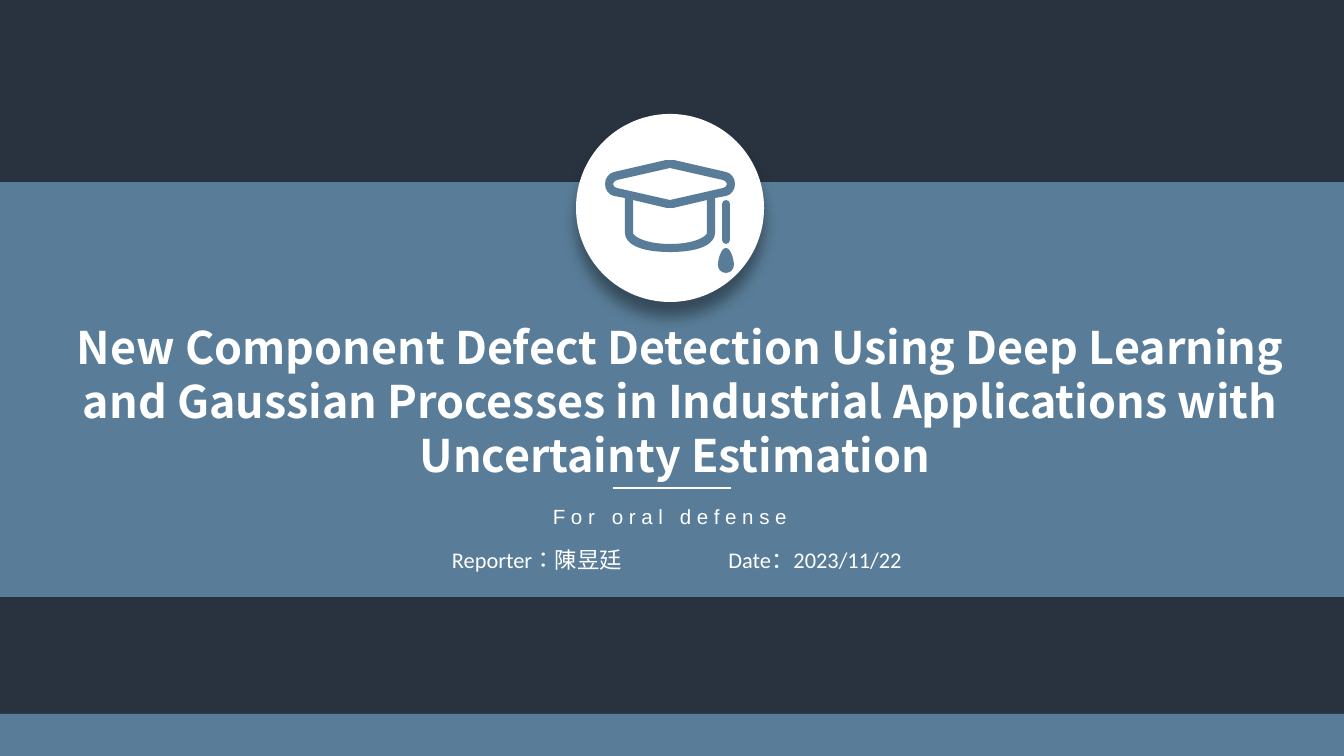
from lxml import etree
from pptx import Presentation
from pptx.dml.color import RGBColor
from pptx.enum.shapes import MSO_CONNECTOR, MSO_SHAPE
from pptx.enum.text import MSO_ANCHOR, MSO_AUTO_SIZE, PP_ALIGN
from pptx.oxml.ns import qn
from pptx.util import Pt

PX = 914400 / 134.4
RECT, OVAL = MSO_SHAPE.RECTANGLE, MSO_SHAPE.OVAL
STRAIGHT = MSO_CONNECTOR.STRAIGHT
TOP, CENTER = MSO_ANCHOR.TOP, PP_ALIGN.CENTER
NO_FIT = MSO_AUTO_SIZE.NONE
COLORS = {"navy": "29323F", "blue": "597D98", "white": "FFFFFF", "black": "000000"}

TITLE = ("New Component Defect Detection Using Deep Learning and Gaussian Processes "
         "in Industrial Applications with Uncertainty Estimation ")
TITLE_FONT = {"name": "Noto Sans CJK SC", "size": Pt(24), "bold": True}
SUBTITLE_FONT = {"name": "Arial", "size": Pt(11)}
DETAIL_FONT = {"name": "Calibri", "size": Pt(12)}

CAP = [
    [(0, 160), (4, 160), (56, 172), (61, 173, 65, 178, 65, 184),
     (65, 190, 61, 195, 56, 196), (45, 198), (45, 233), (45, 243, 32, 252, 0, 252)],
    [(0, 168), (53, 180), (55, 181, 57, 182, 57, 184),
     (57, 186, 55, 188, 53, 188), (0, 200)],
    [(0, 208), (3, 208), (37, 200), (37, 233), (37, 236, 25, 244, 0, 244)],
]
CORD = [[(0, 200), (2, 200, 4, 202, 4, 204), (4, 240), (4, 242, 2, 244, 0, 244)]]
TASSEL = [[(0, 248), (5, 248, 8, 260, 8, 265), (8, 269, 5, 273, 0, 273)]]


def px(value):
    return round(value * PX)


def rgb(name):
    return RGBColor.from_string(COLORS[name])


def paint(sp, color):
    sp.shadow.inherit = False
    sp.fill.solid()
    sp.fill.fore_color.rgb = rgb(color)
    sp.line.fill.background()


def add_block(s, kind, box, color):
    sp = s.shapes.add_shape(kind, *map(px, box))
    paint(sp, color)
    return sp


def add_shadow(sp):
    effects = sp._element.spPr.find(qn("a:effectLst"))
    shadow = etree.SubElement(effects, qn("a:outerShdw"), blurRad=str(Pt(8)),
                              dist=str(Pt(8)), dir="5400000", rotWithShape="0")
    color = etree.SubElement(shadow, qn("a:srgbClr"), val=COLORS["black"])
    etree.SubElement(color, qn("a:alpha"), val="40000")


def mirror(half, axis):
    pairs = [list(zip(seg[::2], seg[1::2])) for seg in half]
    left = []
    for start, seg in reversed(list(zip(pairs, pairs[1:]))):
        back = seg[-2::-1] + [start[-1]]
        left.append([(-x, y) for x, y in back])
    return [[(px(axis + x), px(y)) for x, y in seg] for seg in pairs + left]


def bend(sp, segments):
    lines = list(sp._element.iter(qn("a:lnTo")))
    for line, seg in zip(lines, segments):
        if len(seg) == 1:
            continue
        line.tag = qn("a:cubicBezTo")
        for i, (x, y) in enumerate(seg[:-1]):
            pt = etree.Element(qn("a:pt"), x=str(x - sp.left), y=str(y - sp.top))
            line.insert(i, pt)


def add_mirrored(shapes, axis, halves, color):
    outlines = [mirror(half, axis) for half in halves]
    builder = shapes.build_freeform(*outlines[0][0][0])
    for i, outline in enumerate(outlines):
        ends = [seg[-1] for seg in outline]
        if i:
            builder.move_to(*ends[0])
        builder.add_line_segments(ends[1:], close=True)
    sp = builder.convert_to_shape()
    paint(sp, color)
    bend(sp, [seg for outline in outlines for seg in outline[1:]])


def write(sp, text, font, leading=None, tracking=None, lang=None):
    tf = sp.text_frame
    tf.word_wrap = True
    tf.auto_size = NO_FIT
    tf.vertical_anchor = TOP
    p = tf.paragraphs[0]
    p.alignment = CENTER
    if leading:
        p.line_spacing = Pt(leading)
    r = p.add_run()
    r.text = text
    for name, value in font.items():
        setattr(r.font, name, value)
    r.font.color.rgb = rgb("white")
    if tracking:
        r._r.get_or_add_rPr().set("spc", str(tracking * 100))
    if lang:
        r._r.get_or_add_rPr().set("lang", lang)


def add_title(s, box, text):
    sp = s.shapes.title
    sp.left, sp.top, sp.width, sp.height = map(px, box)
    sp._element.getparent().append(sp._element)
    write(sp, text, TITLE_FONT, leading=28.8)


def add_text(s, box, text, font, **options):
    write(s.shapes.add_textbox(*map(px, box)), text, font, **options)


def add_rule(s, x1, x2, y):
    line = s.shapes.add_connector(STRAIGHT, px(x1), px(y), px(x2), px(y))
    line.line.color.rgb = rgb("white")
    line.line.width = Pt(1.5)
    etree.SubElement(line._element.spPr, qn("a:effectLst"))


def main():
    prs = Presentation()
    prs.slide_width, prs.slide_height = px(1344), px(756)
    s = prs.slides.add_slide(prs.slide_layouts[5])
    s.background.fill.solid()
    s.background.fill.fore_color.rgb = rgb("navy")

    add_block(s, RECT, (0, 714, 1344, 42), "blue")
    add_block(s, RECT, (0, 182, 1344, 415), "blue")
    add_title(s, (22, 313, 1316, 176), TITLE)
    add_text(s, (157, 497, 1026, 39), "For oral defense", SUBTITLE_FONT, tracking=3)
    add_text(s, (416, 540, 242, 40), "Reporter：陳昱廷", DETAIL_FONT, lang="zh-TW")

    add_shadow(add_block(s, OVAL, (576, 114, 188, 188), "white"))
    icon = s.shapes.add_group_shape()
    for axis, halves in ((670, CAP), (726, CORD), (726, TASSEL)):
        add_mirrored(icon.shapes, axis, halves, "blue")

    add_rule(s, 613, 731, 488)
    add_text(s, (694, 540, 242, 40), "Date：2023/11/22", DETAIL_FONT)
    prs.save("out.pptx")


if __name__ == "__main__":
    main()
